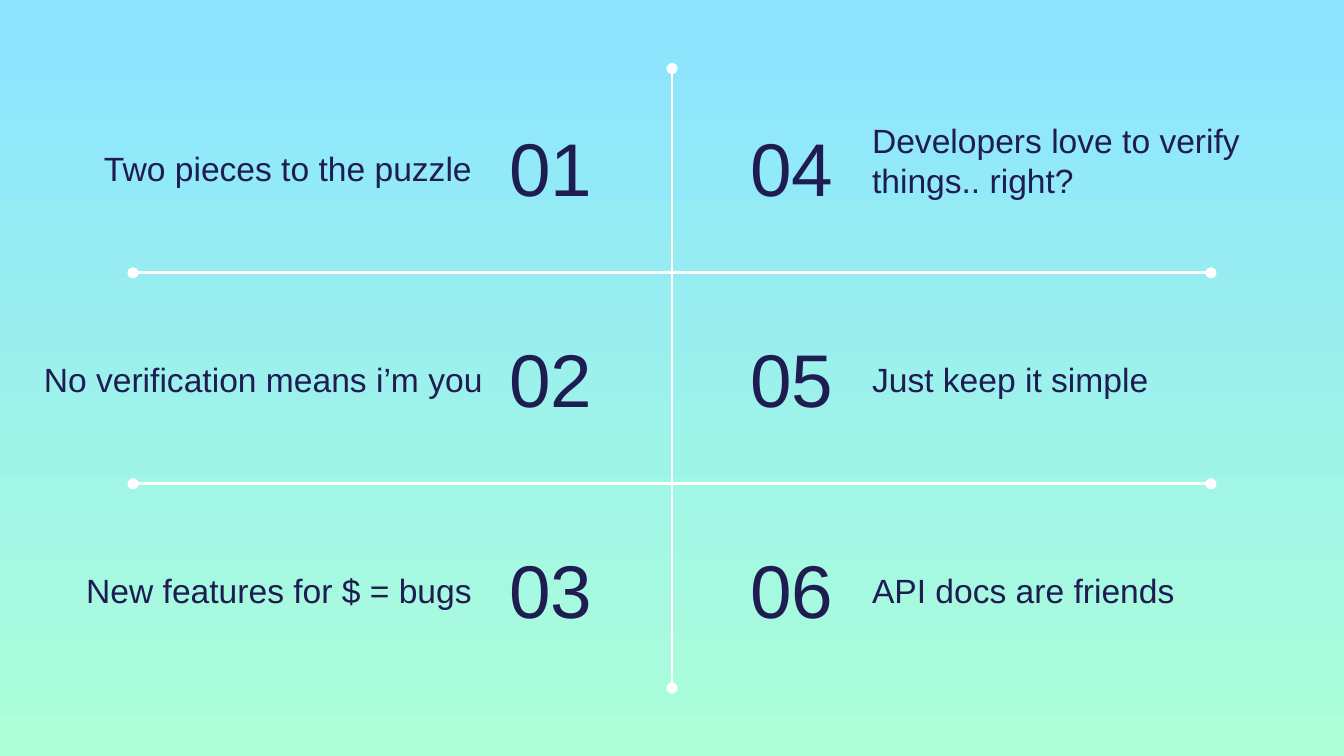
from lxml import etree
from pptx import Presentation
from pptx import util as u
from pptx.dml import color
from pptx.enum import shapes, text
from pptx.oxml import ns

COLORS = {"sky": "8BE3FF", "mint": "ACFFD9", "ink": "1F1C51", "line": "FFFFFF"}
LEFT, RIGHT = text.PP_ALIGN.LEFT, text.PP_ALIGN.RIGHT
MIDDLE, BOTTOM = text.MSO_ANCHOR.MIDDLE, text.MSO_ANCHOR.BOTTOM
ROW_STEP = 1.57

presentation = Presentation()
presentation.slide_width = u.Inches(10)
presentation.slide_height = u.Inches(10 * 9 / 16)
slide = presentation.slides.add_slide(presentation.slide_layouts[5])

background = slide.background.fill
background.gradient()
background.gradient_angle = 270
for stop, name in zip(background.gradient_stops, ("sky", "mint")):
    stop.color.rgb = color.RGBColor.from_string(COLORS[name])


def write(shape, box, words, size, align, anchor):
    shape.left, shape.top, shape.width, shape.height = [u.Inches(n) for n in box]
    frame = shape.text_frame
    frame.word_wrap = True
    frame.auto_size = text.MSO_AUTO_SIZE.NONE
    frame.vertical_anchor = anchor
    frame.margin_left = frame.margin_right = u.Inches(0.1)
    frame.margin_top = frame.margin_bottom = u.Inches(0.1)
    paragraph = frame.paragraphs[0]
    paragraph.text = words
    paragraph.alignment = align
    paragraph.font.name = "Arial"
    paragraph.font.size = u.Pt(size)
    paragraph.font.color.rgb = color.RGBColor.from_string(COLORS["ink"])


def add_text_box():
    return slide.shapes.add_textbox(0, 0, 0, 0)


topics = [
    ("Two pieces to the puzzle", 0.63, 1, 2.98),
    ("No verification means i’m you", 0.11, 2.57, 3.58),
    ("New features for $ = bugs", 0.43, 4.14, 3.18),
    ("Developers love to verify things.. right?", 6.39, 1.09, 2.98),
    ("Just keep it simple", 6.39, 2.57, 2.98),
    ("API docs are friends", 6.39, 4.14, 2.98),
]
for index, (topic, left, top, width) in enumerate(topics):
    column, row = divmod(index, 3)
    number_left, number_align, topic_align = [(3.69, LEFT, RIGHT), (5, RIGHT, LEFT)][column]
    number = slide.shapes.title if index == 0 else add_text_box()
    number_box = (number_left, 0.81 + row * ROW_STEP, 1.3, 0.86)
    write(number, number_box, f"{index + 1:02}", 40, number_align, MIDDLE)
    write(add_text_box(), (left, top, width, 0.5), topic, 18, topic_align, BOTTOM)

dividers = [(5, 0.51, 5, 5.12)] + [(0.99, y, 9.01, y) for y in (2.03, 2.03 + ROW_STEP)]
for ends in dividers:
    divider = slide.shapes.add_connector(
        shapes.MSO_CONNECTOR.STRAIGHT, *[u.Inches(n) for n in ends]
    )
    divider.line.width = u.Pt(1.5)
    divider.line.color.rgb = color.RGBColor.from_string(COLORS["line"])
    outline = divider.line._get_or_add_ln()
    for end in ("a:headEnd", "a:tailEnd"):
        etree.SubElement(outline, ns.qn(end), type="oval")
    etree.SubElement(divider._element.spPr, ns.qn("a:effectLst"))

presentation.save("out.pptx")
